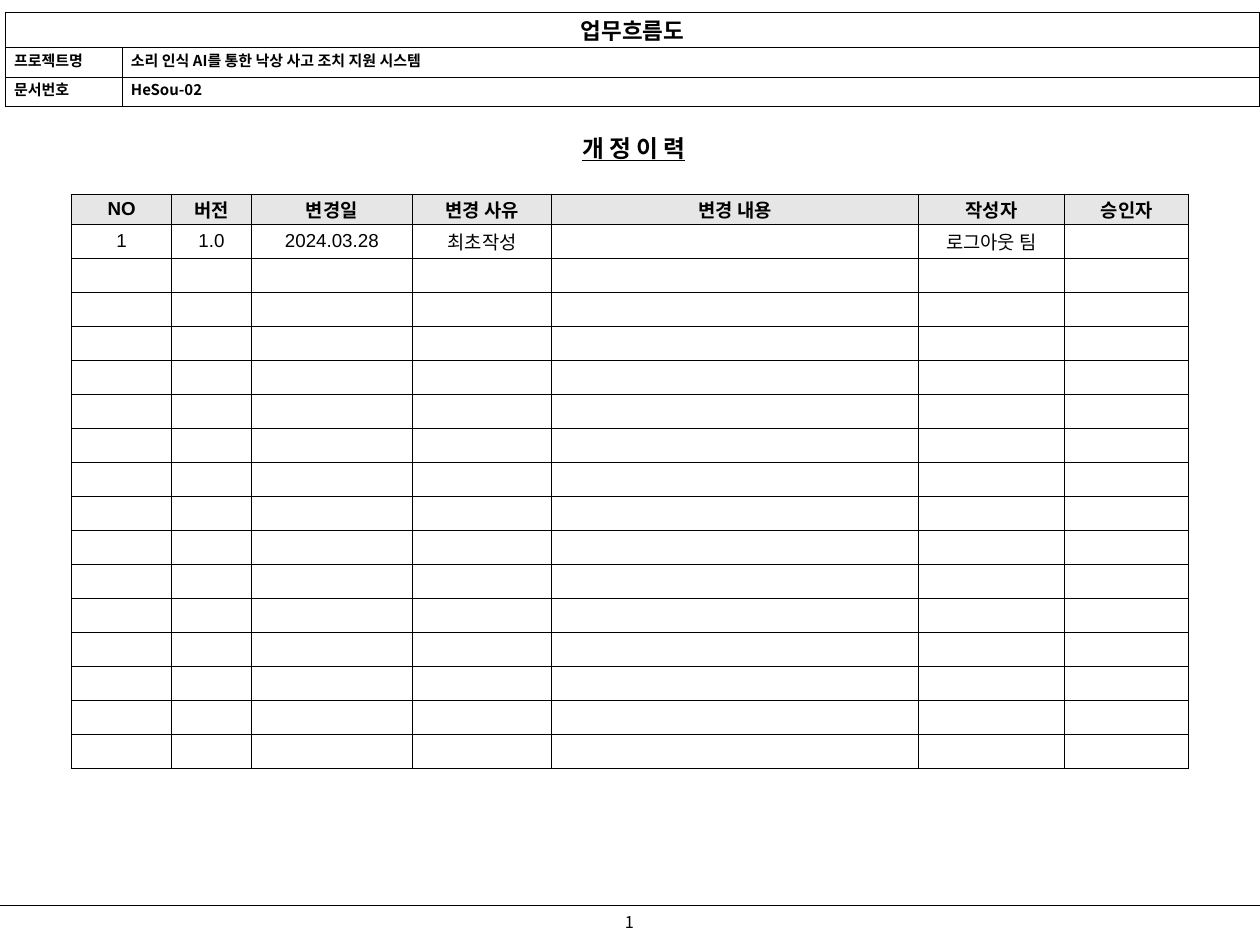
from lxml import etree
from pptx import Presentation
from pptx.dml.color import RGBColor
from pptx.enum.shapes import MSO_CONNECTOR
from pptx.enum.text import MSO_ANCHOR, PP_ALIGN
from pptx.oxml.ns import qn
from pptx.util import Pt

BLACK = RGBColor(0x00, 0x00, 0x00)
WHITE = RGBColor(0xFF, 0xFF, 0xFF)
HEADER_GRAY = RGBColor(0xE6, 0xE6, 0xE6)
KOREAN_FONT = "Noto Sans CJK KR"
LATIN_FONT = "Arial"
LEFT, CENTER = PP_ALIGN.LEFT, PP_ALIGN.CENTER
TOP, MIDDLE = MSO_ANCHOR.TOP, MSO_ANCHOR.MIDDLE
STRAIGHT = MSO_CONNECTOR.STRAIGHT

SLIDE_WIDTH, SLIDE_HEIGHT = 1008, 756
FOOTER_TOP = 724.5

DOCUMENT_COLUMNS = [93.5, 910]
DOCUMENT_ROW_HEIGHTS = [28, 23.8, 23.8]
DOCUMENT_FIELDS = [
    ["프로젝트명", "소리 인식 AI를 통한 낙상 사고 조치 지원 시스템"],
    ["문서번호", "HeSou-02"],
]

REVISION_COLUMNS = [80.5, 63.5, 129, 111.5, 293, 117.5, 99]
REVISION_HEADERS = ["NO", "버전", "변경일", "변경 사유", "변경 내용", "작성자", "승인자"]
REVISIONS = [["1", "1.0", "2024.03.28", "최초작성", "", "로그아웃 팀", ""]]
REVISION_ROW_COUNT = 16


def write_text(text_frame, text, size, font=KOREAN_FONT, bold=False,
               underline=False, align=CENTER):
    paragraph = text_frame.paragraphs[0]
    paragraph.alignment = align
    run = paragraph.add_run()
    run.text = text
    run.font.size = Pt(size)
    run.font.name = font
    run.font.bold = bold
    run.font.underline = underline
    run.font.color.rgb = BLACK
    latin = run.font._element.find(qn("a:latin"))
    east_asian = etree.Element(qn("a:ea"), typeface=KOREAN_FONT)
    latin.addnext(east_asian)


def add_text_box(slide, text, left, top, width, height, wrap=True, anchor=TOP, **text_format):
    shape = slide.shapes.add_textbox(Pt(left), Pt(top), Pt(width), Pt(height))
    text_frame = shape.text_frame
    text_frame.word_wrap = wrap
    text_frame.vertical_anchor = anchor
    text_frame.margin_left = text_frame.margin_right = Pt(9.4)
    text_frame.margin_top = text_frame.margin_bottom = Pt(5)
    write_text(text_frame, text, **text_format)


def add_line(slide, left, top, right, bottom):
    line = slide.shapes.add_connector(STRAIGHT, Pt(left), Pt(top), Pt(right), Pt(bottom))
    line.line.color.rgb = BLACK
    line.line.width = Pt(1)
    etree.SubElement(line._element.spPr, qn("a:effectLst"))


def add_borders(cell):
    """Draw a thin black line on all four sides of a cell."""
    properties = cell._tc.get_or_add_tcPr()
    for index, side in enumerate(["lnL", "lnR", "lnT", "lnB"]):
        border = etree.Element(qn(f"a:{side}"), w=str(Pt(1)))
        fill = etree.SubElement(border, qn("a:solidFill"))
        etree.SubElement(fill, qn("a:srgbClr"), val=str(BLACK))
        properties.insert(index, border)


def add_grid(slide, left, top, column_widths, row_heights, margin_x, margin_y, anchor):
    """Add a bordered white table without a banded style."""
    table = slide.shapes.add_table(
        len(row_heights), len(column_widths), Pt(left), Pt(top),
        Pt(sum(column_widths)), Pt(sum(row_heights))).table
    table.first_row = table.horz_banding = False
    for column, width in zip(table.columns, column_widths):
        column.width = Pt(width)
    for row, height in zip(table.rows, row_heights):
        row.height = Pt(height)
    for cell in table.iter_cells():
        cell.margin_left = cell.margin_right = Pt(margin_x)
        cell.margin_top = cell.margin_bottom = Pt(margin_y)
        cell.vertical_anchor = anchor
        cell.fill.solid()
        cell.fill.fore_color.rgb = WHITE
        add_borders(cell)
    return table


def add_document_table(slide):
    table = add_grid(slide, 4.3, 10, DOCUMENT_COLUMNS, DOCUMENT_ROW_HEIGHTS, 7, 1, TOP)
    title = table.cell(0, 0)
    title.merge(table.cell(0, 1))
    write_text(title.text_frame, "업무흐름도", 18, bold=True)
    for row, field in enumerate(DOCUMENT_FIELDS, start=1):
        for column, text in enumerate(field):
            write_text(table.cell(row, column).text_frame, text, 12, bold=True, align=LEFT)


def add_revision_table(slide):
    row_heights = [24] + [27.2] * REVISION_ROW_COUNT
    table = add_grid(slide, 57, 155.5, REVISION_COLUMNS, row_heights, 6.5, 0, MIDDLE)
    for row, values in enumerate([REVISION_HEADERS] + REVISIONS):
        is_header = row == 0
        for column, text in enumerate(values):
            cell = table.cell(row, column)
            if is_header:
                cell.fill.fore_color.rgb = HEADER_GRAY
            if text:
                write_text(cell.text_frame, text, 15, font=LATIN_FONT, bold=is_header)


def main():
    presentation = Presentation()
    presentation.slide_width = Pt(SLIDE_WIDTH)
    presentation.slide_height = Pt(SLIDE_HEIGHT)
    slide = presentation.slides.add_slide(presentation.slide_layouts[6])

    add_text_box(slide, "1", 484, FOOTER_TOP, 39, 25, wrap=False, size=13)
    add_line(slide, 0, FOOTER_TOP, SLIDE_WIDTH, FOOTER_TOP)
    add_text_box(slide, "개 정 이 력", 419, 101, 176, 34, anchor=MIDDLE,
                 size=19, bold=True, underline=True)
    add_revision_table(slide)
    add_document_table(slide)

    presentation.save("out.pptx")


if __name__ == "__main__":
    main()
